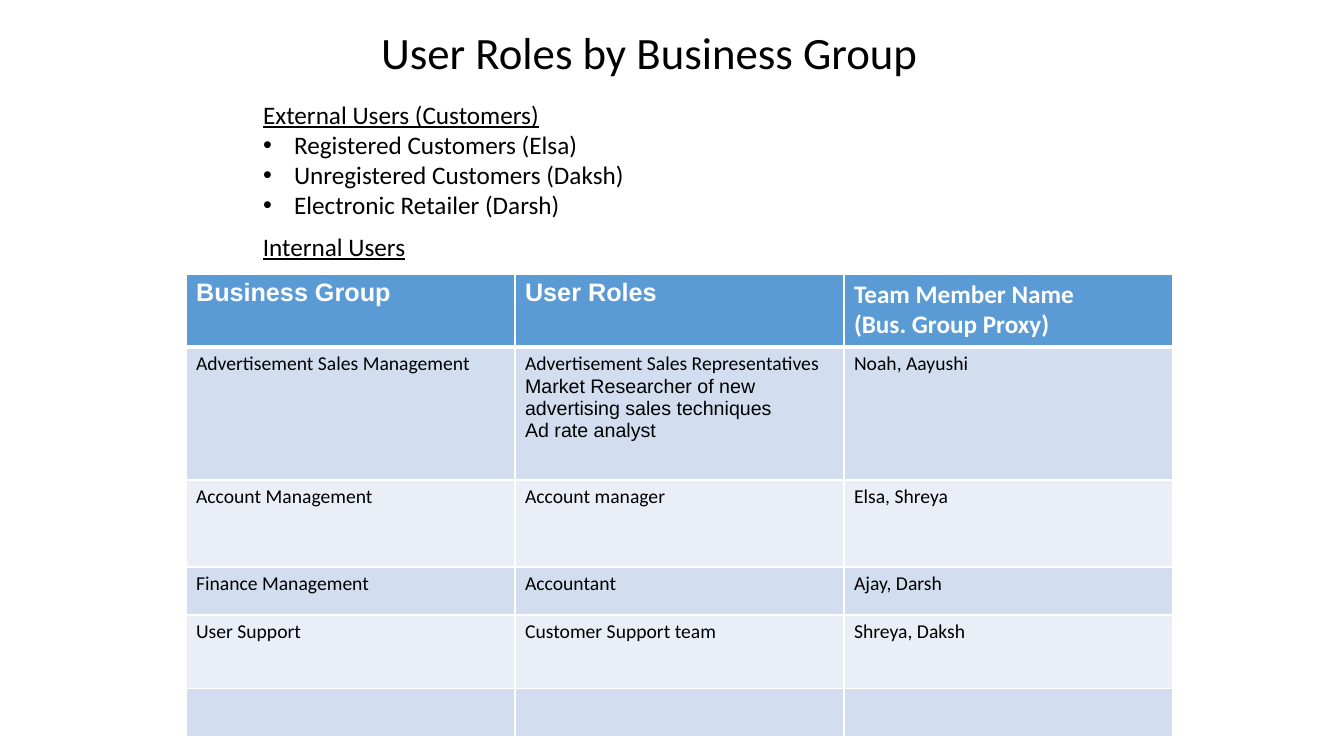
from lxml import etree
from pptx import Presentation
from pptx.dml.color import RGBColor
from pptx.enum.text import MSO_ANCHOR as Anchor, PP_ALIGN as Align
from pptx.oxml.ns import qn
from pptx.util import Pt

PX = 914400 / 100.8
SIZE = (1344, 756)
BLACK, WHITE = "000000", "FFFFFF"
BLUE, BANDS = "5B9BD5", ("EAEFF7", "D2DEEF")

TITLE = "User Roles by Business Group"
EXTERNAL = [
    "External Users (Customers)",
    "Registered Customers (Elsa)",
    "Unregistered Customers (Daksh)",
    "Electronic Retailer (Darsh)",
]
INTERNAL = "Internal Users"
ROWS = [
    ("Business Group", "User Roles", "Team Member Name\n(Bus. Group Proxy)"),
    ("Advertisement Sales Management",
     "Advertisement Sales Representatives\n"
     "Market Researcher of new advertising sales techniques\n"
     "Ad rate analyst",
     "Noah, Aayushi"),
    ("Account Management", "Account manager", "Elsa, Shreya"),
    ("Finance Management", "Accountant", "Ajay, Darsh"),
    ("User Support", "Customer Support team", "Shreya, Daksh"),
    ("", "", ""),
]
HEIGHTS = [73, 133, 87, 48, 74, 48]
WIDTH = 329
ARIAL = {"Business Group", "User Roles", *ROWS[1][1].split("\n")[1:]}


def px(*vals):
    return [round(v * PX) for v in vals]


def rgb(code):
    return RGBColor.from_string(code)


def place(shape, *box):
    shape.left, shape.top, shape.width, shape.height = px(*box)


def style(para, size, color=BLACK, bold=False, line=False):
    for run in para.runs:
        font = run.font
        font.name = "Arial" if run.text in ARIAL else "Calibri"
        font.size, font.bold, font.underline = Pt(size), bold, line
        font.color.rgb = rgb(color)


def bullet(para, mark):
    """Give the paragraph a hanging mark, or none when mark is empty."""
    props = para._p.get_or_add_pPr()
    left = px(31)[0] if mark else 0
    props.set("marL", str(left))
    props.set("indent", str(-left))
    if mark:
        etree.SubElement(props, qn("a:buFont"), typeface="Arial")
        etree.SubElement(props, qn("a:buChar"), char=mark)
    else:
        etree.SubElement(props, qn("a:buNone"))


def border(cell, top, bottom):
    """Draw white edges; top and bottom are widths in points."""
    props = cell._tc.get_or_add_tcPr()
    edges = {"L": 1, "R": 1, "T": top, "B": bottom}
    for i, (side, width) in enumerate(edges.items()):
        line = etree.Element(qn(f"a:ln{side}"), w=str(Pt(width)))
        fill = etree.SubElement(line, qn("a:solidFill"))
        etree.SubElement(fill, qn("a:srgbClr"), val=WHITE)
        props.insert(i, line)


def fill_cell(cell, text, row):
    head = row == 0
    cell.text = text
    for para in cell.text_frame.paragraphs:
        style(para, 18 if head else 14, WHITE if head else BLACK, head)
    cell.fill.solid()
    cell.fill.fore_color.rgb = rgb(BLUE if head else BANDS[row % 2])
    border(cell, 3 if row == 1 else 1, 3 if head else 1)


def main():
    deck = Presentation()
    deck.slide_width, deck.slide_height = px(*SIZE)
    slide = deck.slides.add_slide(deck.slide_layouts[1])

    title, body = slide.placeholders
    place(title, 369, 19, 561, 65)
    title.text_frame.text = TITLE
    title.text_frame.word_wrap = False
    title.text_frame.vertical_anchor = Anchor.MIDDLE
    para = title.text_frame.paragraphs[0]
    para.alignment = Align.CENTER
    style(para, 32)

    grid = slide.shapes.add_table(
        len(ROWS), len(ROWS[0]),
        *px(186, 274, WIDTH * len(ROWS[0]), sum(HEIGHTS))).table
    for col in grid.columns:
        col.width = px(WIDTH)[0]
    for r, (texts, high) in enumerate(zip(ROWS, HEIGHTS)):
        grid.rows[r].height = px(high)[0]
        for c, text in enumerate(texts):
            fill_cell(grid.cell(r, c), text, r)

    place(body, 253, 94, 502, 163)
    body.text_frame.text = "\n".join(EXTERNAL)
    for i, para in enumerate(body.text_frame.paragraphs):
        para.space_before = Pt(0)
        bullet(para, "•" if i else "")
        style(para, 18, line=i == 0)

    label = slide.shapes.add_textbox(*px(253, 226, 164, 40))
    label.text_frame.text = INTERNAL
    label.text_frame.word_wrap = False
    style(label.text_frame.paragraphs[0], 18, line=True)

    deck.save("out.pptx")


if __name__ == "__main__":
    main()
